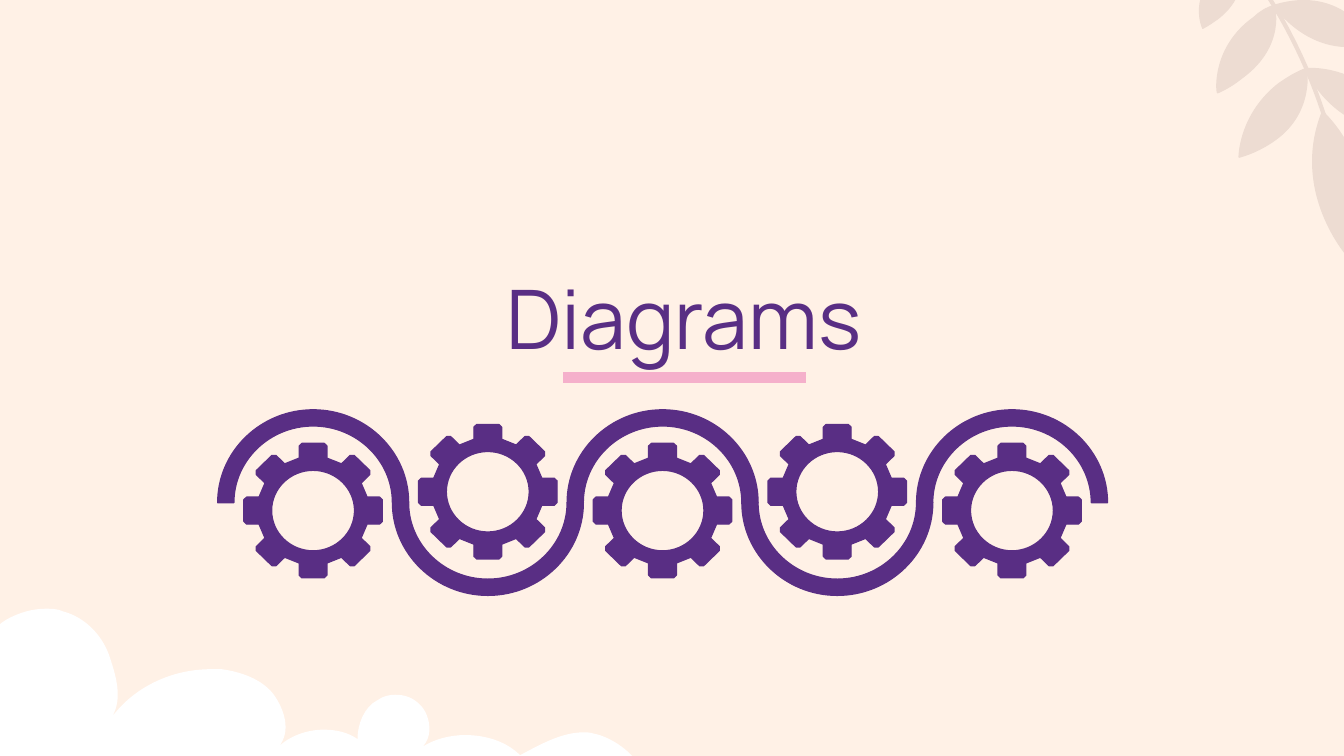
from math import cos, pi, sin

from lxml.etree import SubElement
from pptx import Presentation
from pptx.dml.color import RGBColor
from pptx.enum.shapes import MSO_CONNECTOR as Connector
from pptx.enum.text import MSO_ANCHOR as Anchor, PP_ALIGN as Align
from pptx.oxml.ns import qn
from pptx.util import Cm, Pt

COLORS = {
    "background": "FFF1E6",
    "cloud": "FFFFFF",
    "leaf": "EDDCD2",
    "purple": "592E84",
    "pink": "F5B0CB",
}
TITLE = "Diagrams"
FONT = "Manrope"

# Outlines in inches: a start point, then lines (an end) and cubic curves
# (two controls and an end).
CLOUD = [
    (-0.88, 2.77),
    (-0.62, 2.77, -0.37, 2.92, -0.22, 3.13), (-0.04, 3.38, 0, 3.71, -0.02, 4.01),
    (-0.05, 4.28, -0.08, 4.6, -0.16, 4.87), (-0.12, 4.76, -0.05, 4.67, 0.05, 4.61),
    (0.14, 4.56, 0.24, 4.53, 0.34, 4.53), (0.38, 4.53, 0.43, 4.53, 0.47, 4.55),
    (0.62, 4.59, 0.75, 4.71, 0.81, 4.87), (0.86, 5.02, 0.92, 5.2, 0.83, 5.34),
    (1, 5.11, 1.28, 4.98, 1.57, 4.98), (1.6, 4.98, 1.62, 4.98, 1.65, 4.98),
    (1.79, 5, 1.94, 5.05, 2.03, 5.16), (2.12, 5.28, 2.17, 5.45, 2.07, 5.56),
    (2.15, 5.48, 2.28, 5.43, 2.41, 5.43), (2.5, 5.43, 2.59, 5.45, 2.66, 5.5),
    (2.66, 5.39, 2.71, 5.26, 2.81, 5.21), (2.85, 5.18, 2.9, 5.17, 2.94, 5.17),
    (3.01, 5.17, 3.07, 5.19, 3.12, 5.24), (3.2, 5.31, 3.23, 5.48, 3.14, 5.56),
    (3.23, 5.5, 3.35, 5.47, 3.46, 5.47), (3.62, 5.47, 3.77, 5.52, 3.87, 5.62),
    (4.02, 5.54, 4.18, 5.45, 4.34, 5.45), (4.37, 5.45, 4.39, 5.45, 4.42, 5.46),
    (4.53, 5.48, 4.69, 5.58, 4.75, 5.69), (-2.44, 5.69),
    (-2.46, 5.48, -2.46, 5.26, -2.44, 5.07), (-2.4, 4.87, -2.3, 4.67, -2.15, 4.54),
    (-2.06, 4.48, -1.95, 4.44, -1.84, 4.44), (-1.74, 4.44, -1.64, 4.47, -1.56, 4.52),
    (-1.63, 4.19, -1.7, 3.85, -1.64, 3.52), (-1.57, 3.19, -1.35, 2.86, -1.02, 2.79),
    (-0.97, 2.78, -0.92, 2.77, -0.88, 2.77),
]
STEM = [(9.96, 1.27), (9.72, 0.09, 8.91, -0.96, 7.83, -1.48)]
LEAVES = [
    [(10.03, 1.91), (10.03, 1.91, 9.6, 1.43, 9.84, 0.83),
     (9.84, 0.83, 10.36, 1.3, 10.03, 1.91)],
    [(10.49, 1.01), (9.87, 0.96, 9.72, 0.51, 9.72, 0.51),
     (10.25, 0.5, 10.49, 1, 10.49, 1.01)],
    [(9.49, 1.04), (9.42, 1.09, 9.33, 1.14, 9.22, 1.17),
     (9.22, 1.17, 9.22, 0.85, 9.52, 0.62), (9.58, 0.58, 9.64, 0.54, 9.72, 0.51),
     (9.72, 0.51, 9.78, 0.83, 9.49, 1.04)],
    [(10.21, 0.32), (9.75, 0.45, 9.48, 0.04, 9.48, 0.04),
     (10.01, -0.12, 10.21, 0.32, 10.21, 0.32)],
    [(9.24, 0.58), (9.19, 0.62, 9.13, 0.66, 9.06, 0.69),
     (9.05, 0.68, 9.02, 0.35, 9.33, 0.13), (9.37, 0.09, 9.42, 0.06, 9.48, 0.04),
     (9.48, 0.04, 9.57, 0.34, 9.24, 0.58)],
    [(9.06, 0.14), (9.03, 0.16, 8.99, 0.19, 8.95, 0.21),
     (8.95, 0.21, 8.83, -0.04, 9.12, -0.26), (9.15, -0.28, 9.19, -0.3, 9.22, -0.32),
     (9.22, -0.32, 9.32, -0.06, 9.06, 0.14)],
]

# Wave of half rings, each holding a gear (inches)
GEAR_COUNT, TOOTH_COUNT = 5, 8
FIRST_X, PITCH, WAVE_Y = 2.33, 1.3, 3.74
OUTER, INNER = (0.71, 0.69), (0.59, 0.57)
GEAR_Y = {"up": 3.8, "down": 3.66}
STRETCH, HOLE = 1.03, 0.3
TOOTH = [(-0.1, -0.39), (-0.1, -0.48), (-0.08, -0.5),
         (0.08, -0.5), (0.1, -0.48), (0.1, -0.39)]


def inches(value):
    return Cm(value * 2.54)


def color(name):
    return RGBColor.from_string(COLORS[name])


def arc(x, y, radii, quarters, start=pi):
    """Outline of an ellipse arc, one cubic curve for each signed quarter turn."""
    rx, ry = radii
    turn = pi / 2 if quarters > 0 else -pi / 2
    pull = 0.55 if quarters > 0 else -0.55
    outline = [(x + rx * cos(start), y + ry * sin(start))]
    for quarter in range(abs(quarters)):
        a = start + quarter * turn
        b = a + turn
        outline.append((
            x + rx * (cos(a) - pull * sin(a)), y + ry * (sin(a) + pull * cos(a)),
            x + rx * (cos(b) + pull * sin(b)), y + ry * (sin(b) - pull * cos(b)),
            x + rx * cos(b), y + ry * sin(b)))
    return outline


def half_ring(x, direction):
    quarters, end = (2, 2 * pi) if direction == "up" else (-2, 0)
    return arc(x, WAVE_Y, OUTER, quarters) + arc(x, WAVE_Y, INNER, -quarters, end)


def gear_rim(x, y):
    rim = []
    for tooth in range(TOOTH_COUNT):
        turn = 2 * pi * tooth / TOOTH_COUNT
        rim += [(x + STRETCH * (u * cos(turn) - v * sin(turn)),
                 y + u * sin(turn) + v * cos(turn)) for u, v in TOOTH]
    return rim


def bend(shape, outlines):
    """Turn the straight segments that have control points into cubic curves."""
    segments = [segment for outline in outlines for segment in outline[1:]]
    lines = list(shape._element.iter(qn("a:lnTo")))
    for line, segment in zip(lines, segments):
        if len(segment) == 2:
            continue
        line.tag = qn("a:cubicBezTo")
        for place in (0, 1):
            x, y = segment[2 * place:2 * place + 2]
            control = line.makeelement(qn("a:pt"), {
                "x": str(inches(x) - shape.left), "y": str(inches(y) - shape.top)})
            line.insert(place, control)


def draw(shapes, outlines, fill, line=None, width=0.75):
    """Add one freeform made of several outlines; without a fill it stays open."""
    ends = [[(inches(segment[-2]), inches(segment[-1])) for segment in outline]
            for outline in outlines]
    builder = shapes.build_freeform(*ends[0][0])
    for number, points in enumerate(ends):
        if number:
            builder.move_to(*points[0])
        builder.add_line_segments(points[1:], close=bool(fill))
    shape = builder.convert_to_shape()
    bend(shape, outlines)
    shape.shadow.inherit = False
    if fill:
        shape.fill.solid()
        shape.fill.fore_color.rgb = color(fill)
    else:
        shape.fill.background()
    if line:
        shape.line.color.rgb = color(line)
        shape.line.width = Pt(width)
    else:
        shape.line.fill.background()


def add_title(page):
    box = page.shapes.add_textbox(inches(0.88), inches(1.99), inches(8.42), inches(0.64))
    frame = box.text_frame
    frame.word_wrap = True
    frame.vertical_anchor = Anchor.TOP
    frame.margin_left = frame.margin_right = frame.margin_top = frame.margin_bottom = 0
    para = frame.paragraphs[0]
    para.alignment = Align.CENTER
    span = para.add_run()
    span.text = TITLE
    span.font.name = FONT
    span.font.size = Pt(44)
    span.font.color.rgb = color("purple")


def add_underline(page):
    rule = page.shapes.add_connector(
        Connector.STRAIGHT, inches(4.19), inches(2.81), inches(6), inches(2.81))
    rule.line.color.rgb = color("pink")
    rule.line.width = Pt(6)
    SubElement(rule._element.spPr, qn("a:effectLst"))


def add_gears(page):
    gears = page.shapes.add_group_shape().shapes
    for number in range(GEAR_COUNT):
        x = FIRST_X + number * PITCH
        direction = "down" if number % 2 else "up"
        y = GEAR_Y[direction]
        hole = arc(x, y, (HOLE * STRETCH, HOLE), 4)
        draw(gears, [half_ring(x, direction)], "purple", "purple")
        draw(gears, [gear_rim(x, y), hole], "purple", "purple")


deck = Presentation()
deck.slide_width, deck.slide_height = Cm(25.4), Cm(14.29)
page = deck.slides.add_slide(deck.slide_layouts[6])
page.background.fill.solid()
page.background.fill.fore_color.rgb = color("background")

draw(page.shapes, [CLOUD], "cloud")
branch = page.shapes.add_group_shape().shapes
draw(branch, [STEM], None, "leaf", 2.25)
for leaf in LEAVES:
    draw(branch, [leaf], "leaf", "leaf")
add_title(page)
add_underline(page)
add_gears(page)
deck.save("out.pptx")
